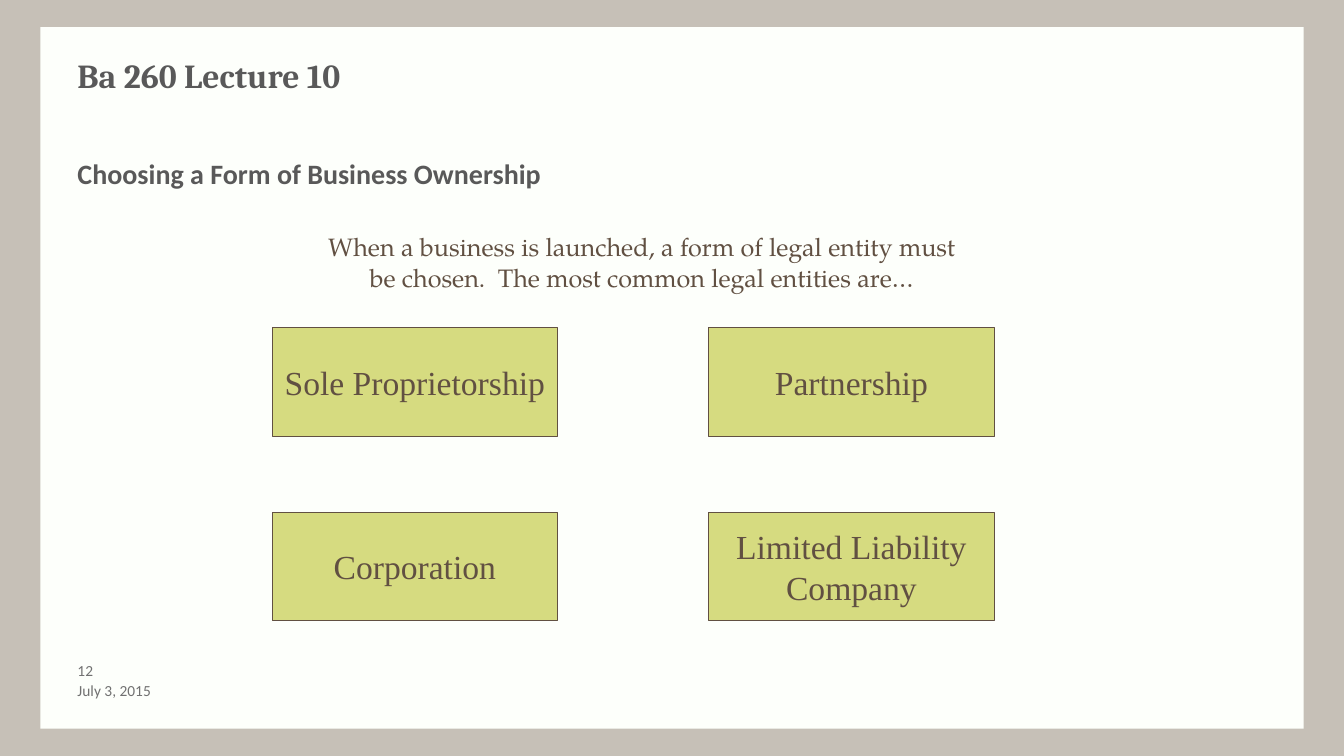
from dataclasses import dataclass
from itertools import product
from pptx import Presentation
from pptx.dml.color import RGBColor
from pptx.enum.shapes import MSO_SHAPE
from pptx.enum.text import MSO_ANCHOR, PP_ALIGN
from pptx.util import Inches, Pt


@dataclass(frozen=True)
class Style:
    font: str
    size: int
    color: str
    bold: bool = False


@dataclass(frozen=True)
class Theme:
    back: str = "C6C0B7"
    panel: str = "FDFFFB"
    box: str = "D6DB80"
    edge: str = "615042"
    title: Style = Style("Cambria", 24, "595959", True)
    topic: Style = Style("Calibri", 20, "595959", True)
    intro: Style = Style("TeX Gyre Pagella", 18, "615042")
    label: Style = Style("Times New Roman", 24, "615042")
    foot: Style = Style("Calibri", 11, "717171")


THEME = Theme()


def paint(fill, color):
    fill.solid()
    fill.fore_color.rgb = RGBColor.from_string(color)


def write(frame, text, style, align=PP_ALIGN.LEFT):
    frame.text = text
    for para in frame.paragraphs:
        para.alignment = align
        font = para.font
        font.name, font.size, font.bold = style.font, Pt(style.size), style.bold
        font.color.rgb = RGBColor.from_string(style.color)


def add_text(slide, area, text, style, align=PP_ALIGN.LEFT):
    frame = slide.shapes.add_textbox(*map(Inches, area)).text_frame
    frame.word_wrap = True
    write(frame, text, style, align)
    return frame


def add_foot(slide, area, text):
    frame = add_text(slide, area, text, THEME.foot)
    frame.margin_top = frame.margin_bottom = frame.margin_right = 0
    frame.vertical_anchor = MSO_ANCHOR.MIDDLE


def add_rect(slide, area, color):
    rect = slide.shapes.add_shape(MSO_SHAPE.RECTANGLE, *map(Inches, area))
    rect.shadow.inherit = False
    paint(rect.fill, color)
    rect.line.fill.background()
    return rect


def add_box(slide, area, text):
    box = add_rect(slide, area, THEME.box)
    paint(box.line.fill, THEME.edge)
    box.line.width = Pt(0.75)
    frame = box.text_frame
    frame.word_wrap = False
    frame.vertical_anchor = MSO_ANCHOR.MIDDLE
    write(frame, text, THEME.label, PP_ALIGN.CENTER)


def main():
    deck = Presentation()
    deck.slide_width, deck.slide_height = Inches(13.33), Inches(7.5)
    slide = deck.slides.add_slide(deck.slide_layouts[6])
    paint(slide.background.fill, THEME.back)
    add_rect(slide, (0.4, 0.27, 12.53, 6.96), THEME.panel)

    add_text(slide, (0.67, 0.5, 12, 0.75), "Ba 260 Lecture 10", THEME.title)
    add_text(slide, (0.67, 1.5, 5.84, 0.52),
             "Choosing a Form of Business Ownership", THEME.topic)
    add_text(slide, (3.03, 2.25, 6.67, 0.71),
             "When a business is launched, a form of legal entity must be chosen.  "
             "The most common legal entities are…", THEME.intro, PP_ALIGN.CENTER)

    forms = ("Sole Proprietorship", "Partnership",
             "Corporation", "Limited Liability\nCompany")
    for (top, left), form in zip(product((3.25, 5.08), (2.7, 7.03)), forms):
        add_box(slide, (left, top, 2.83, 1.08), form)

    add_foot(slide, (0.67, 6.55, 0.53, 0.2), "12")
    add_foot(slide, (0.67, 6.75, 2.67, 0.2), "July 3, 2015")
    deck.save("out.pptx")


if __name__ == "__main__":
    main()
